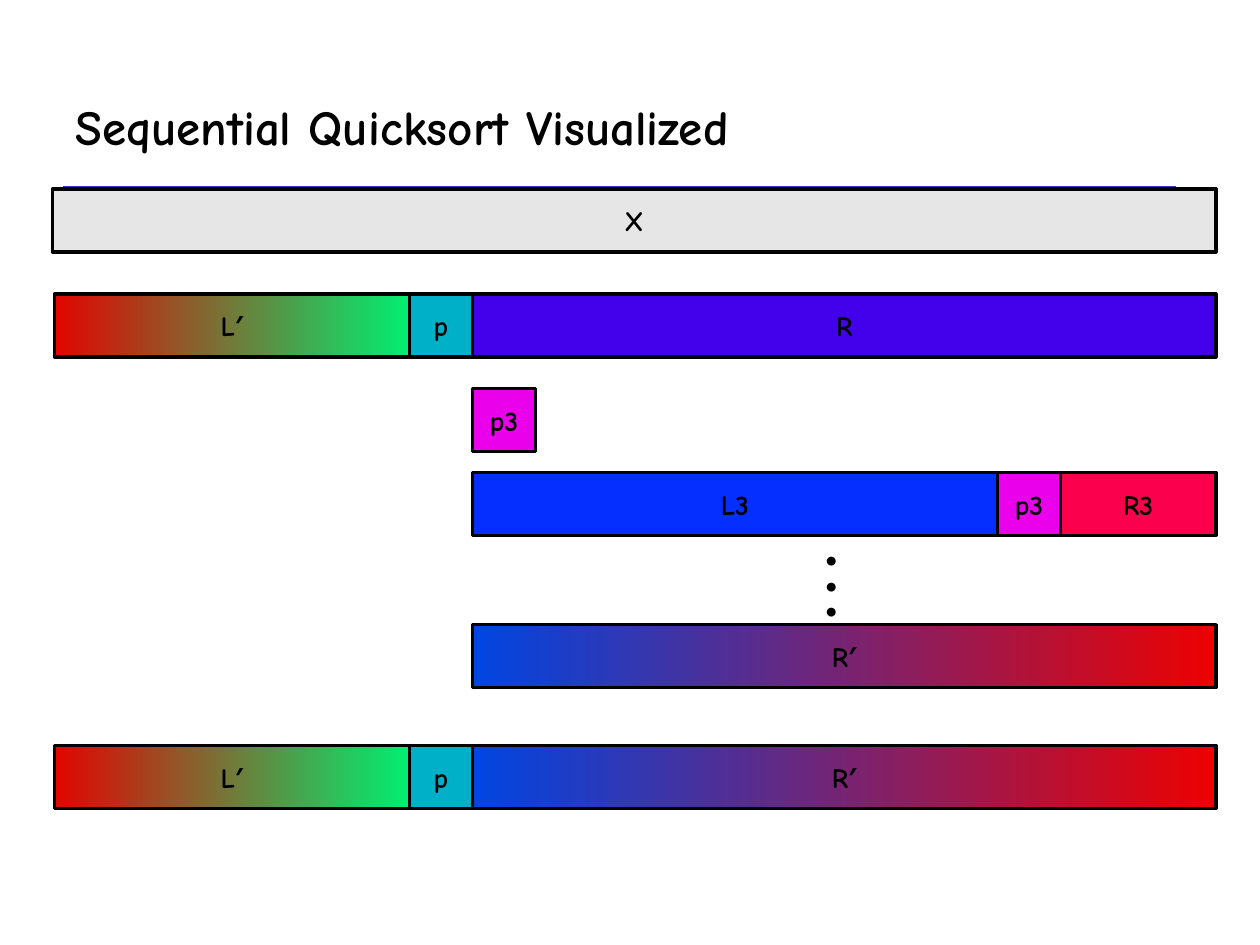
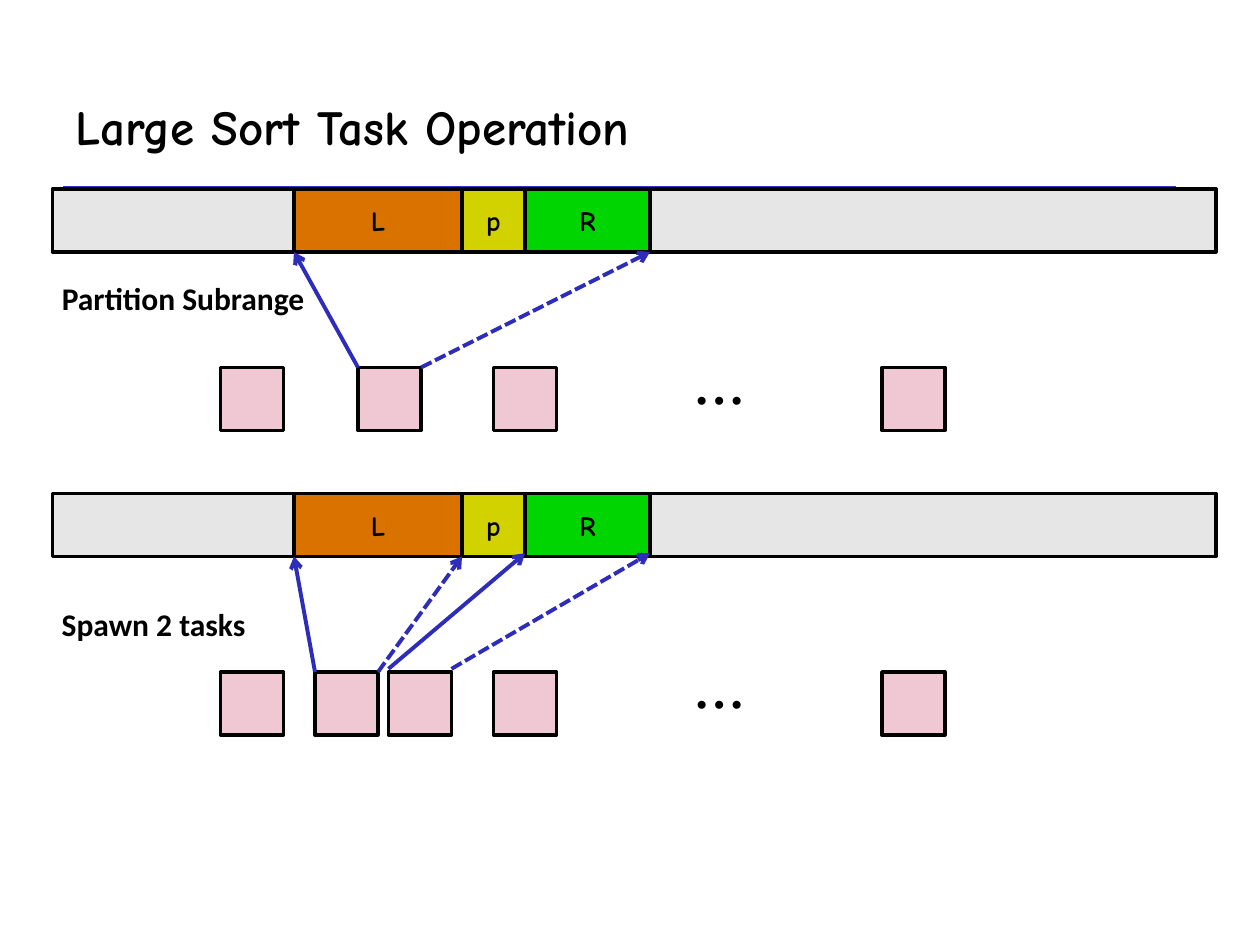
from pptx import Presentation
from pptx.dml.color import RGBColor
from pptx.enum.dml import MSO_LINE
from pptx.enum.shapes import MSO_CONNECTOR, MSO_SHAPE
from pptx.enum.text import MSO_ANCHOR, PP_ALIGN
from pptx.oxml.ns import qn
from pptx.util import Inches, Pt
from lxml.etree import SubElement

HAND, SANS, DOTS = "Comic Neue", "Calibri", "Arial"
BLACK, GREY, PINK = "000000", "E6E6E6", "F0C8D3"
RULE, ARROW = "3333CC", "2D2DB9"
SIDE, LEFT, RIGHT = 6, 5, 115.8

LOW = ("L′", ("E10601", "00EE71"), 39)
PIVOT = ("p", "00B0C8", 45)
HIGH = ("R′", ("0046E2", "ED0101"), RIGHT)
SPLIT = [("L", "DA7200", 44), ("p", "D2D200", 50), ("R", "01D501", 61.9)]


def grid(*cells):
    """Turn cells of a 120 by 90 grid into lengths."""
    return [Inches(cell / 12) for cell in cells]


def color(code):
    """Turn a hex string into a colour."""
    return RGBColor.from_string(code)


def write(shape, lines, size, font, align=PP_ALIGN.LEFT,
          anchor=MSO_ANCHOR.TOP, wrap=False):
    """Set bold black lines of text in a shape."""
    frame = shape.text_frame
    frame.word_wrap = wrap
    frame.vertical_anchor = anchor
    for n, line in enumerate(lines):
        para = frame.add_paragraph() if n else frame.paragraphs[0]
        para.alignment = align
        run = para.add_run()
        run.text = line
        run.font.size = Pt(size)
        run.font.name = font
        run.font.bold = True
        run.font.color.rgb = color(BLACK)


def label(slide, place, lines, size, font, **style):
    """Add a free text box."""
    write(slide.shapes.add_textbox(*grid(*place)), lines, size, font, **style)


def paint(fill, tone):
    """Fill with one colour, or blend a pair from left to right."""
    if isinstance(tone, str):
        fill.solid()
        fill.fore_color.rgb = color(tone)
        return
    fill.gradient()
    fill.gradient_angle = 0
    for n, (stop, code) in enumerate(zip(fill.gradient_stops, tone)):
        stop.position = n
        stop.color.rgb = color(code)


def block(slide, col, row, width, tone, text=""):
    """Add an outlined block, labelled if there is text."""
    shape = slide.shapes.add_shape(
        MSO_SHAPE.RECTANGLE, *grid(col, row, width, SIDE))
    shape.shadow.inherit = False
    paint(shape.fill, tone)
    shape.line.color.rgb = color(BLACK)
    shape.line.width = Pt(2)
    if text:
        write(shape, [text], 16, HAND, PP_ALIGN.CENTER, MSO_ANCHOR.MIDDLE)


def strip(slide, col, row, parts):
    """Lay blocks end to end, each given by its right edge."""
    for text, tone, end in parts:
        block(slide, col, row, end - col, tone, text)
        col = end


def line(slide, start, end, code, width):
    """Add a straight line and return it."""
    wire = slide.shapes.add_connector(
        MSO_CONNECTOR.STRAIGHT, *grid(*start, *end))
    wire.line.color.rgb = color(code)
    wire.line.width = Pt(width)
    SubElement(wire._element.spPr, qn("a:effectLst"))
    return wire


def arrow(slide, start, end, dashed):
    """Point from a task to an edge of its range."""
    wire = line(slide, start, end, ARROW, 2.25)
    if dashed:
        wire.line.dash_style = MSO_LINE.SQUARE_DOT
    SubElement(wire.line._get_or_add_ln(), qn("a:tailEnd"), type="arrow")


def aim(slide, col, row, low, high, foot):
    """Point from a task's top corners to both ends of its range."""
    arrow(slide, (col + SIDE, row), (high, foot), True)
    arrow(slide, (col, row), (low, foot), False)


def page(deck, title):
    """Add a slide with its title and rule."""
    slide = deck.slides.add_slide(deck.slide_layouts[6])
    line(slide, (6, 18), (112, 18), RULE, 3)
    label(slide, (6, 6, 106, 12), [title], 28, HAND,
          anchor=MSO_ANCHOR.MIDDLE, wrap=True)
    return slide


def stage(slide, row, base, tasks):
    """Draw the split array above its row of tasks."""
    strip(slide, LEFT, row, [("", GREY, RIGHT)])
    strip(slide, 28, row, SPLIT)
    for col in (21, *tasks, 47, 84):
        block(slide, col, base, SIDE, PINK)
    label(slide, (53, base, 31, SIDE), ["• • •"], 16, DOTS,
          align=PP_ALIGN.CENTER, anchor=MSO_ANCHOR.MIDDLE)


def quick(deck):
    """Show quicksort level by level."""
    slide = page(deck, "Sequential Quicksort Visualized")
    strip(slide, LEFT, 18, [("X", GREY, RIGHT)])
    strip(slide, 5.2, 28, [LOW, PIVOT, ("R", "4300EA", RIGHT)])
    strip(slide, 45, 37, [("p3", "EA00EA", 51)])
    strip(slide, 45, 45, [("L3", "052FFF", 95), ("p3", "EA00EA", 101),
                          ("R3", "FA004D", RIGHT)])
    label(slide, (77.5, 51.5, 3.4, 8.5), ["•"] * 3, 12, SANS)
    strip(slide, 45, 59.5, [HIGH])
    strip(slide, 5.2, 71, [LOW, PIVOT, HIGH])


def tasks(deck):
    """Show one sort task that splits into two."""
    slide = page(deck, "Large Sort Task Operation")
    stage(slide, 18, 35, [34.1])
    aim(slide, 34.1, 35, 28, 61.9, 24)
    stage(slide, 47, 64, [30, 37])
    aim(slide, 30, 64, 28, 44, 53)
    aim(slide, 37, 63.7, 50, 61.9, 52.7)
    label(slide, (4.7, 26, 26, 4.8), ["Partition Subrange"], 18, SANS)
    label(slide, (4.7, 57, 20.2, 4.8), ["Spawn 2 tasks"], 18, SANS)


def main():
    """Build and save the deck."""
    deck = Presentation()
    deck.slide_width, deck.slide_height = grid(120, 90)
    quick(deck)
    tasks(deck)
    deck.save("out.pptx")


if __name__ == "__main__":
    main()
